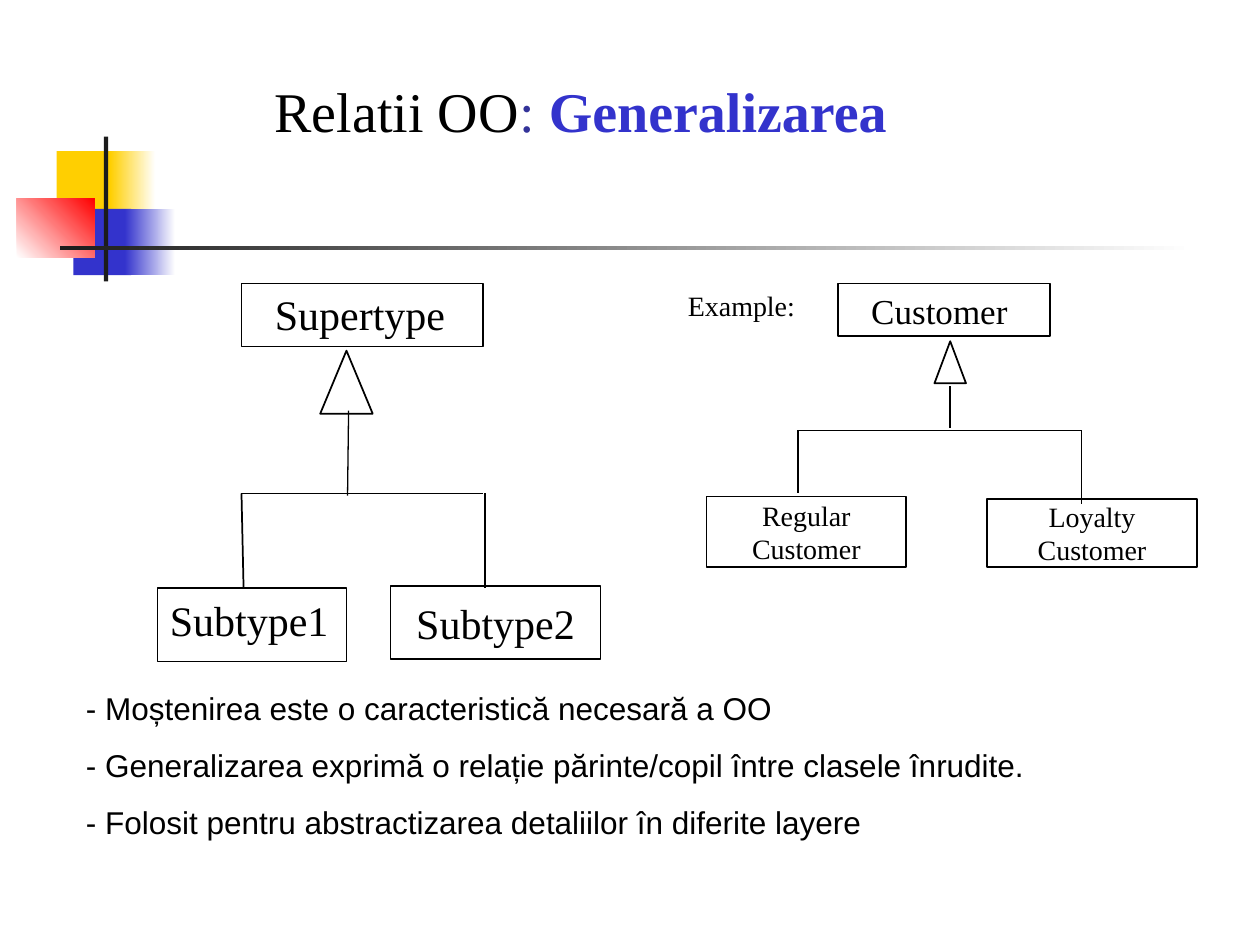
from dataclasses import dataclass
from lxml.etree import SubElement
from pptx import Presentation
from pptx.dml.color import RGBColor
from pptx.enum.shapes import MSO_CONNECTOR as Connector, MSO_SHAPE as Shape
from pptx.enum.text import MSO_ANCHOR as Anchor, PP_ALIGN as Align
from pptx.oxml.ns import qn
from pptx.util import Emu, Inches, Pt

COLUMNS, ROWS = 120, 90
CELL = Inches(10) // COLUMNS


@dataclass(frozen=True)
class Theme:
    serif: str = "Times New Roman"
    sans: str = "Arial"
    ink: str = "000000"
    white: str = "FFFFFF"
    yellow: str = "FFCF01"
    blue: str = "3333CC"
    navy: str = "333399"
    red: str = "FF0000"
    charcoal: str = "1C1C1C"
    title: int = 32
    large: int = 24
    medium: int = 20
    body: int = 18
    small: int = 16
    outline: float = 1
    thin: float = 0.75


THEME = Theme()


@dataclass(frozen=True)
class Box:
    """An area in grid columns and rows."""
    left: float
    top: float
    width: float
    height: float

    def area(self, left, top, width, height):
        return Box(self.left + left, self.top + top, width, height)

    def lengths(self):
        return [Emu(round(value * CELL)) for value in
                (self.left, self.top, self.width, self.height)]


@dataclass(frozen=True)
class Tree:
    """Pieces of a class tree, relative to the box that holds it."""
    parent: tuple
    parent_label: tuple
    parent_run: tuple
    triangle: tuple
    stem: tuple
    bus: tuple
    drops: tuple
    stem_width: float
    drop_width: float


def add_block(slide, box, color, end_color=None, angle=0):
    """Add a borderless rectangle, fading to end_color when it is given."""
    shape = slide.shapes.add_shape(Shape.RECTANGLE, *box.lengths())
    shape.shadow.inherit = False
    shape.line.fill.background()
    if end_color is None:
        shape.fill.solid()
        shape.fill.fore_color.rgb = RGBColor.from_string(color)
        return
    shape.fill.gradient()
    shape.fill.gradient_angle = angle
    for stop, stop_color in zip(shape.fill.gradient_stops, (color, end_color)):
        stop.color.rgb = RGBColor.from_string(stop_color)


def add_outline(slide, kind, box):
    shape = slide.shapes.add_shape(kind, *box.lengths())
    shape.shadow.inherit = False
    shape.fill.background()
    shape.line.color.rgb = RGBColor.from_string(THEME.ink)
    shape.line.width = Pt(THEME.outline)
    return shape


def add_line(slide, box, points, width):
    left, top, right, bottom = points
    start = box.area(left, top, 0, 0).lengths()[:2]
    end = box.area(right, bottom, 0, 0).lengths()[:2]
    line = slide.shapes.add_connector(Connector.STRAIGHT, *start, *end)
    line.line.color.rgb = RGBColor.from_string(THEME.ink)
    line.line.width = Pt(width)
    SubElement(line._element.spPr, qn("a:effectLst"))


def write(frame, lines, size, font=THEME.serif, align=Align.LEFT, gap=0):
    """Write lines of (text, color, bold) runs, with a gap between lines."""
    for index, runs in enumerate(lines):
        paragraph = frame.add_paragraph() if index else frame.paragraphs[0]
        paragraph.alignment = align
        if index and gap:
            paragraph.space_before = Pt(gap)
        for text, color, bold in runs:
            run = paragraph.add_run()
            run.text = text
            run.font.name = font
            run.font.size = Pt(size)
            run.font.bold = bold
            run.font.color.rgb = RGBColor.from_string(color)


def plain(*texts):
    return [[(text, THEME.ink, False)] for text in texts]


def add_label(slide, box, lines, size, indent=0, **style):
    frame = slide.shapes.add_textbox(*box.lengths()).text_frame
    frame.word_wrap = True
    frame.margin_left = Inches(0.1 + indent)
    write(frame, lines, size, **style)


def add_class(slide, box, texts, size):
    """Add an outlined class box with its name centred inside."""
    frame = add_outline(slide, Shape.RECTANGLE, box).text_frame
    frame.word_wrap = False
    frame.vertical_anchor = Anchor.MIDDLE
    write(frame, plain(*texts), size, align=Align.CENTER)


def add_tree(slide, box, tree):
    """Draw the parent class and the lines that lead down to its children."""
    add_outline(slide, Shape.ISOSCELES_TRIANGLE, box.area(*tree.triangle))
    add_outline(slide, Shape.RECTANGLE, box.area(*tree.parent))
    text, size = tree.parent_run
    add_label(slide, box.area(*tree.parent_label), plain(text), size)
    add_line(slide, box, tree.stem, tree.stem_width)
    add_line(slide, box, tree.bus, THEME.outline)
    for drop in tree.drops:
        add_line(slide, box, drop, tree.drop_width)


def add_decoration(slide, box):
    add_block(slide, box.area(3.8, 1.4, 5.8, 6.2), THEME.yellow)
    add_block(slide, box.area(8.9, 1.4, 4.3, 6.2), THEME.yellow, THEME.white)
    add_block(slide, box.area(5.4, 6.9, 5.5, 6.3), THEME.blue)
    add_block(slide, box.area(10.3, 6.9, 4.8, 6.3), THEME.blue, THEME.white)
    add_block(slide, box.area(0, 5.9, 7.4, 5.6), THEME.white, THEME.red, 45)
    add_block(slide, box.area(8.3, 0, 0.4, 13.8), THEME.charcoal)
    add_block(slide, box.area(4.1, 10.4, 108, 0.4), THEME.charcoal, THEME.white)


def add_title(slide, box):
    runs = [("Relatii OO", THEME.ink, False), (": ", THEME.navy, False),
            ("Generalizarea", THEME.blue, True)]
    add_label(slide, box, [runs], THEME.title, indent=0.08)


def add_type_diagram(slide, box):
    add_tree(slide, box, Tree(
        parent=(8, 0, 23, 6), parent_label=(10, -0.1, 23, 6),
        parent_run=("Supertype", THEME.large), triangle=(15.5, 6.4, 5, 6),
        stem=(18.1, 20.2, 18.2, 12.1), bus=(8, 20, 31, 20),
        drops=((8, 20, 8.2, 29), (31.2, 20, 31.2, 29)),
        stem_width=THEME.thin, drop_width=THEME.outline))
    first = box.area(0, 29, 18, 7)
    add_outline(slide, Shape.RECTANGLE, first)
    add_label(slide, first, plain("Subtype1"), THEME.large)
    add_class(slide, box.area(22.2, 28.8, 20, 7), ["Subtype2"], THEME.large)


def add_customer_diagram(slide, box):
    add_label(slide, box.area(0, -0.1, 15, 4.4), plain("Example:"),
              THEME.small, indent=0.11)
    add_tree(slide, box, Tree(
        parent=(16.8, 0, 20.2, 5), parent_label=(18.8, 0, 23, 5.3),
        parent_run=("Customer", THEME.medium), triangle=(26, 5.5, 3, 4),
        stem=(27.5, 9.8, 27.5, 13.8), bus=(13, 14, 40, 14),
        drops=((13, 14, 13, 20), (40, 14, 40, 21)),
        stem_width=THEME.outline, drop_width=THEME.thin))
    add_class(slide, box.area(4.3, 20.3, 19, 6.7), ["Regular", "Customer"], THEME.small)
    add_class(slide, box.area(31, 20.5, 20, 6.5), ["Loyalty", "Customer"], THEME.small)


def add_notes_list(slide, box):
    add_label(slide, box, plain(
        "- Moștenirea este o caracteristică necesară a OO",
        "- Generalizarea exprimă o relație părinte/copil între clasele înrudite.",
        "- Folosit pentru abstractizarea detaliilor în diferite layere",
    ), THEME.body, font=THEME.sans, gap=11.2)


def main():
    presentation = Presentation()
    presentation.slide_width = Emu(COLUMNS * CELL)
    presentation.slide_height = Emu(ROWS * CELL)
    slide = presentation.slides.add_slide(presentation.slide_layouts[6])
    add_decoration(slide, Box(1.6, 13, 114, 14))
    add_title(slide, Box(24, 6.7, 81.7, 7.7))
    add_type_diagram(slide, Box(15, 27, 43, 36))
    add_customer_diagram(slide, Box(63, 27, 51, 27))
    add_notes_list(slide, Box(7, 65, 104, 15.8))
    presentation.save("out.pptx")


if __name__ == "__main__":
    main()
